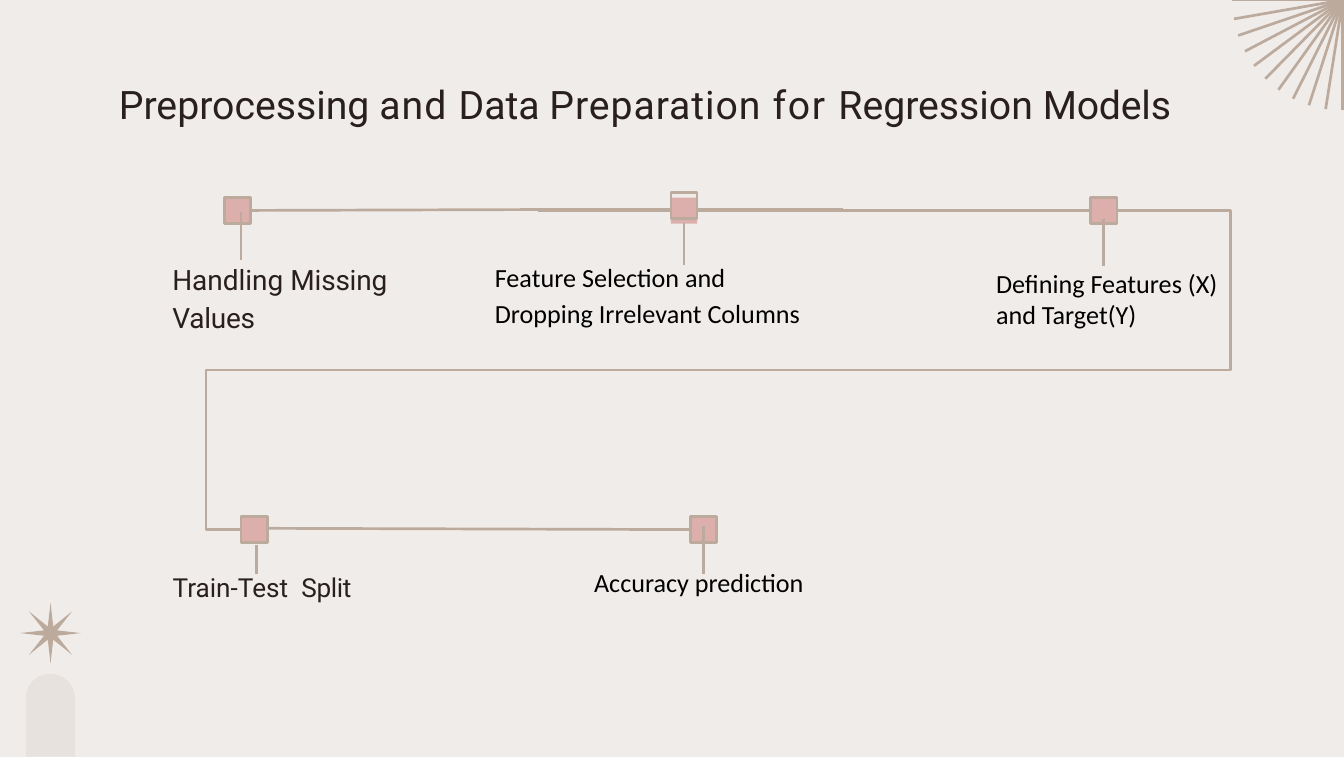
from dataclasses import dataclass
from math import cos, radians, sin

from lxml.etree import SubElement
from pptx import Presentation
from pptx.dml.color import RGBColor
from pptx.enum.shapes import MSO_CONNECTOR, MSO_SHAPE
from pptx.enum.text import MSO_ANCHOR, MSO_AUTO_SIZE, PP_ALIGN
from pptx.oxml.ns import qn
from pptx.shapes.autoshape import Shape
from pptx.util import Pt


@dataclass(frozen=True)
class Theme:
    paper: str = "F0ECEA"
    line: str = "BCAB9D"
    node: str = "DCAFAC"
    arch: str = "E8E2DF"
    ink: str = "291F20"
    black: str = "000000"
    head: float = 21
    large: float = 15
    label: float = 14
    thin: float = 1.44
    thick: float = 1.89
    main: str = "Roboto"
    plain: str = "Calibri"


@dataclass(frozen=True)
class Node:
    x: float
    y: float
    lift: float = 0  # how far the outline sits above the fill


@dataclass(frozen=True)
class Label:
    box: tuple
    paras: list  # each paragraph is a list of (text, letter spacing)
    style: dict


@dataclass(frozen=True)
class Line:
    x1: float
    y1: float
    x2: float
    y2: float
    width: float = Theme.thin


theme = Theme()
SIDE = 14
deck = Presentation()
deck.slide_width, deck.slide_height = Pt(720), Pt(405.36)
slide = deck.slides.add_slide(deck.slide_layouts[5])
shapes = slide.shapes


def rgb(code: str) -> RGBColor:
    return RGBColor.from_string(code)


def paint(shape: Shape, fill: str = "", line: str = "") -> None:
    shape.shadow.inherit = False
    if fill:
        shape.fill.solid()
        shape.fill.fore_color.rgb = rgb(fill)
    else:
        shape.fill.background()
    if line:
        shape.line.color.rgb = rgb(line)
        shape.line.width = Pt(theme.thin)
    else:
        shape.line.fill.background()


def form(kind: MSO_SHAPE, box: tuple, fill: str = "", line: str = "") -> Shape:
    shape = shapes.add_shape(kind, *map(Pt, box))
    paint(shape, fill, line)
    return shape


def trace(strokes: list) -> None:
    """Draw open strokes, each a list of points, as one outline."""
    pen = shapes.build_freeform(*map(Pt, strokes[0][0]))
    for i, (start, *rest) in enumerate(strokes):
        if i:
            pen.move_to(*map(Pt, start))
        pen.add_line_segments([(Pt(x), Pt(y)) for x, y in rest], close=False)
    paint(pen.convert_to_shape(), line=theme.line)


def rule(line: Line) -> None:
    ends = map(Pt, (line.x1, line.y1, line.x2, line.y2))
    wire = shapes.add_connector(MSO_CONNECTOR.STRAIGHT, *ends)
    wire.line.color.rgb = rgb(theme.line)
    wire.line.width = Pt(line.width)
    SubElement(wire._element.spPr, qn("a:effectLst"))


def write(shape: Shape, paras: list, *, font: str = theme.main,
          size: float = theme.label, color: str = theme.ink,
          inset: tuple = (7.2, 3.6, 7.2, 3.6), before: tuple = (0,),
          leading: float = 1.0) -> None:
    frame = shape.text_frame
    frame.word_wrap = True
    frame.auto_size = MSO_AUTO_SIZE.NONE
    frame.vertical_anchor = MSO_ANCHOR.TOP
    (frame.margin_left, frame.margin_top,
     frame.margin_right, frame.margin_bottom) = map(Pt, inset)
    for i, (runs, gap) in enumerate(zip(paras, before)):
        para = frame.add_paragraph() if i else frame.paragraphs[0]
        para.alignment = PP_ALIGN.LEFT
        para.space_before = Pt(gap)
        para.line_spacing = leading
        for text, track in runs:
            run = para.add_run()
            run.text = text
            run.font.name, run.font.size = font, Pt(size)
            run.font.bold = False
            run.font.color.rgb = rgb(color)
            if track:
                run._r.get_or_add_rPr().set("spc", str(round(track * 100)))


def node(item: Node) -> None:
    box = (item.x, item.y, SIDE, SIDE)
    if item.lift:
        form(MSO_SHAPE.RECTANGLE, box, theme.node)
        box = (item.x, item.y - item.lift, SIDE, SIDE)
        form(MSO_SHAPE.RECTANGLE, box, line=theme.line)
    else:
        form(MSO_SHAPE.RECTANGLE, box, theme.node, theme.line)


def label(item: Label) -> None:
    write(shapes.add_textbox(*map(Pt, item.box)), item.paras, **item.style)


# Background and corner ornaments
slide.background.fill.solid()
slide.background.fill.fore_color.rgb = rgb(theme.paper)
star = form(MSO_SHAPE.STAR_8_POINT, (10.8, 322.6, 32.6, 32.8), theme.line)
star.adjustments[0] = 0.116
arch = form(MSO_SHAPE.ROUND_2_SAME_RECTANGLE, (13.8, 360.8, 26.4, 44.4), theme.arch)
arch.adjustments[0] = 0.5
hub = (719.4, 0)
turns = [radians(90 - 8.9 * step) for step in range(10)] + [0]
trace([[(hub[0] - 59.2 * cos(turn), 59.2 * sin(turn)), hub] for turn in turns])

# Title
title = shapes.title
title.left, title.top, title.width, title.height = map(Pt, (44.6, 20.9, 607, 55.4))
write(title, [[("Preprocessing ", 0), ("and ", 0.6), ("Data ", 0),
               ("Preparation ", 0.5), ("for ", 0.9), ("Regression ", 0),
               ("Models", -0.1)]],
      size=theme.head, inset=(19.1, 22.2, 0, 0), before=(1.1,))

# Step markers
for item in (Node(120.4, 105.8), Node(359.5, 105.8, 2.6), Node(584.4, 105.8),
             Node(129.2, 276.6), Node(370, 276.6)):
    node(item)

# Straight links, then stems down to the labels
for item in (
    Line(134.4, 112.7, 291.6, 112.2),
    Line(288.4, 112.4, 359.4, 112.4, theme.thick),
    Line(373.4, 112.4, 451.6, 112.4, theme.thick),
    Line(443.8, 112.7, 584.4, 112.7),
    Line(143, 282.9, 370, 283.6),
    Line(129.1, 113.6, 129.1, 139.2),
    Line(366.5, 119.5, 366.5, 141.8),
    Line(591.1, 117.4, 591.1, 142.4),
    Line(137.4, 291.8, 137.4, 307.4),
    Line(377, 281.8, 377, 307.4),
):
    rule(item)

# Link that wraps from the first row to the second
trace([[(598.4, 112.7), (659.2, 112.7), (659.2, 198.2),
        (110.4, 198.2), (110.4, 283.6), (129, 283.6)]])

# Step labels
plain = dict(font=theme.plain, color=theme.black)
for item in (
    Label((91.4, 136.8, 118.8, 43.2),
          [[("Handling ", 0), ("Missing", -0.1)], [("Values", -0.1)]],
          dict(size=theme.large, inset=(0.9, 3.6, 0, 0), before=(3.6, 2.6))),
    Label((264.2, 136.4, 179.3, 38.9),
          [[("Feature Selection and Dropping Irrelevant Columns", 0)]],
          dict(plain, inset=(0.9, 0.7, 0, 0), before=(0.9,), leading=1.16)),
    Label((526.5, 139.7, 136.1, 41),
          [[("Defining Features (X) and Target(Y)", 0)]], plain),
    Label((91.6, 304.6, 112.3, 38.2),
          [[("Train-Test", 0), (" ", 3.5), ("Split", -0.2)]],
          dict(inset=(0.9, 1.4, 0, 0), before=(1.1,))),
    Label((311.2, 299.5, 201.6, 24.5), [[("Accuracy prediction", 0)]], plain),
):
    label(item)

deck.save("out.pptx")
